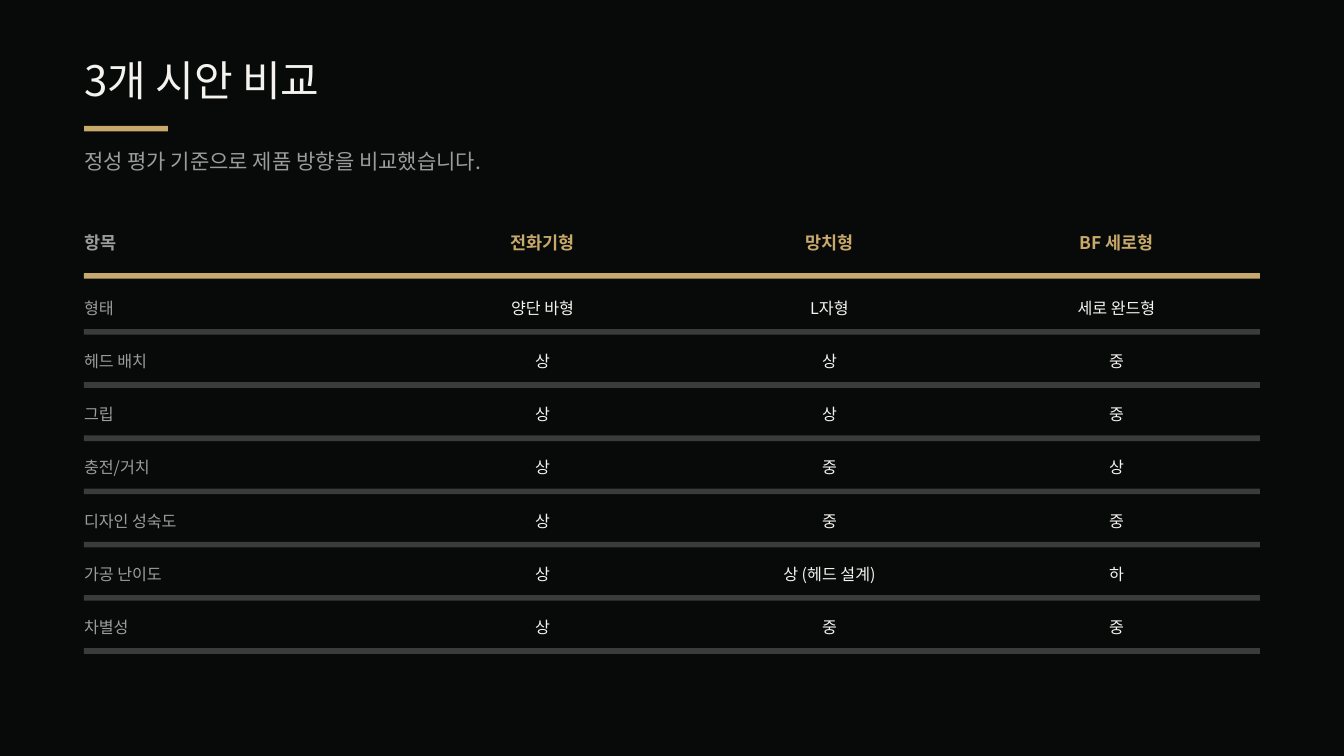
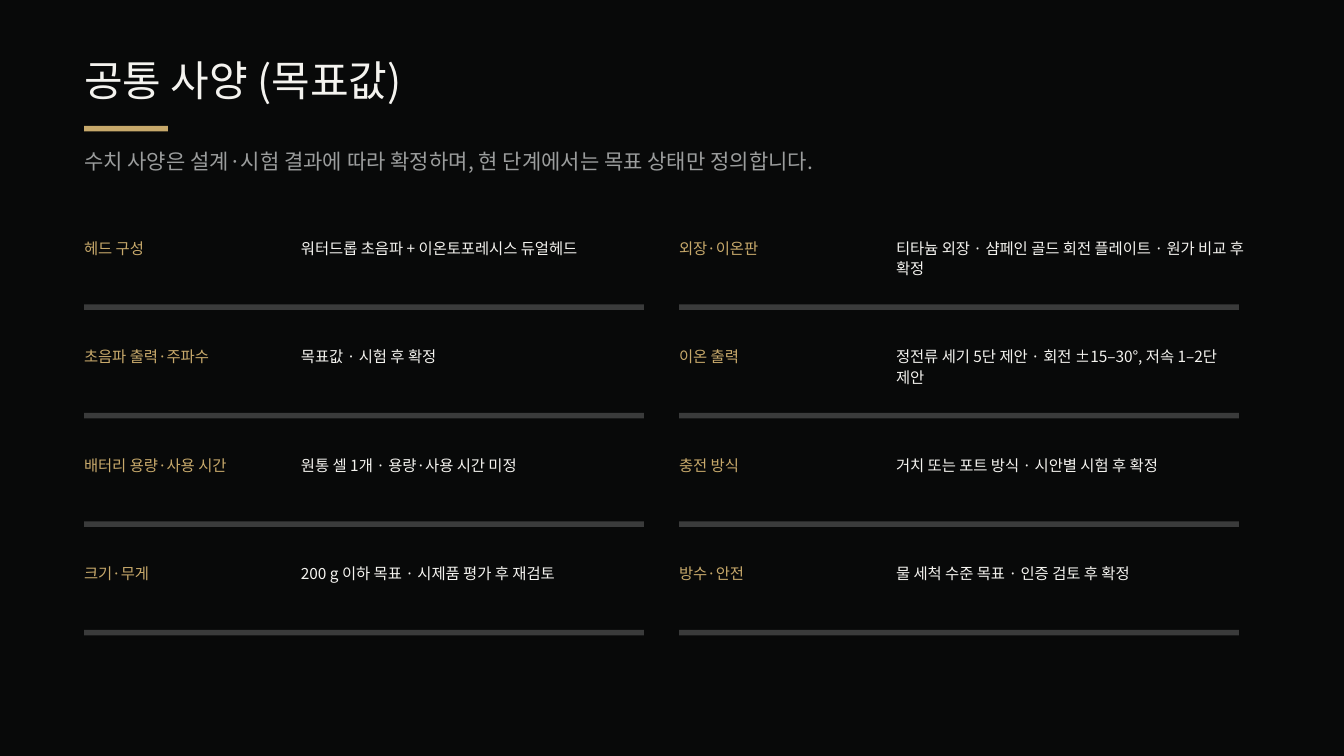
from dataclasses import dataclass

from lxml.etree import SubElement
from pptx import Presentation
from pptx.dml.color import RGBColor
from pptx.enum.shapes import MSO_SHAPE as Preset
from pptx.enum.text import MSO_ANCHOR as Anchor, MSO_AUTO_SIZE as AutoSize, PP_ALIGN as Align
from pptx.oxml.ns import qn
from pptx.util import Pt


@dataclass(frozen=True)
class TextStyle:
    """Size, exact line height, colour and weight of one kind of text."""
    size: float
    line: float
    color: str
    bold: bool = False


class Theme:
    """Colours, type and measures shared by the slides."""
    font = "Noto Sans CJK KR"
    night, ivory, gray, gold, line = "080909", "F4F3EF", "9B9D9D", "C7A96B", "3A3B3B"
    title = TextStyle(45, 50.4, ivory)
    subtitle = TextStyle(22.5, 32.63, gray)
    head_item = TextStyle(18.75, 26.25, gray, True)
    head_option = TextStyle(18.75, 26.25, gold, True)
    row_item = TextStyle(17.25, 24.15, gray)
    row_grade = TextStyle(17.25, 24.15, ivory)
    spec_label = TextStyle(16.5, 23.1, gold)
    spec_value = TextStyle(16.5, 22.28, ivory)
    left, width = 90, 1260
    rule = 6


NO_STYLE_NO_GRID = "{2D5ABB26-0587-4C30-8999-92F81FD0307C}"

COMPARISON = [
    ("항목", "전화기형", "망치형", "BF 세로형"),
    ("형태", "양단 바형", "L자형", "세로 완드형"),
    ("헤드 배치", "상", "상", "중"),
    ("그립", "상", "상", "중"),
    ("충전/거치", "상", "중", "상"),
    ("디자인 성숙도", "상", "중", "중"),
    ("가공 난이도", "상", "상 (헤드 설계)", "하"),
    ("차별성", "상", "중", "중"),
]

SPECS = [
    ("헤드 구성", "워터드롭 초음파 + 이온토포레시스 듀얼헤드"),
    ("외장·이온판", "티타늄 외장 · 샴페인 골드 회전 플레이트 · 원가 비교 후 확정"),
    ("초음파 출력·주파수", "목표값 · 시험 후 확정"),
    ("이온 출력", "정전류 세기 5단 제안 · 회전 ±15–30°, 저속 1–2단 제안"),
    ("배터리 용량·사용 시간", "원통 셀 1개 · 용량·사용 시간 미정"),
    ("충전 방식", "거치 또는 포트 방식 · 시안별 시험 후 확정"),
    ("크기·무게", "200 g 이하 목표 · 시제품 평가 후 재검토"),
    ("방수·안전", "물 세척 수준 목표 · 인증 검토 후 확정"),
]


def write(frame, text, style, align=Align.LEFT):
    """Fill a text frame with one styled paragraph."""
    frame.text = text
    paragraph = frame.paragraphs[0]
    paragraph.alignment = align
    paragraph.line_spacing = Pt(style.line)
    paragraph.space_before = Pt(0)
    for run in paragraph.runs:
        run.font.size = Pt(style.size)
        run.font.bold = style.bold
        run.font.name = Theme.font
        run.font.color.rgb = RGBColor.from_string(style.color)
        SubElement(run.font._element, qn("a:ea"), typeface=Theme.font)


def trim(frame, auto_size):
    """Wrap a text frame from its top edge without insets."""
    frame.word_wrap = True
    frame.auto_size = auto_size
    frame.vertical_anchor = Anchor.TOP
    frame.margin_left = frame.margin_top = frame.margin_right = frame.margin_bottom = 0


def add_text(shapes, left, top, width, text, style):
    """Add a text box that grows with its text."""
    box = shapes.add_textbox(Pt(left), Pt(top), Pt(width), Pt(style.line))
    trim(box.text_frame, AutoSize.SHAPE_TO_FIT_TEXT)
    write(box.text_frame, text, style)


def add_rule(shapes, left, top, width, color):
    """Add a thick horizontal rule."""
    rule = shapes.add_shape(Preset.RECTANGLE, Pt(left), Pt(top), Pt(width), Pt(Theme.rule))
    rule.shadow.inherit = False
    rule.fill.solid()
    rule.fill.fore_color.rgb = RGBColor.from_string(color)
    rule.line.fill.background()


def fill_placeholder(holder, top, width, height, text, style):
    """Move a placeholder to the left margin and write plain text in it."""
    holder.left, holder.top, holder.width, holder.height = Pt(Theme.left), Pt(top), Pt(width), Pt(height)
    trim(holder.text_frame, AutoSize.NONE)
    write(holder.text_frame, text, style)
    properties = holder.text_frame.paragraphs[0]._p.get_or_add_pPr()
    properties.set("marL", "0")
    properties.set("indent", "0")
    SubElement(properties, qn("a:buNone"))


def add_headed_slide(prs, title, subtitle):
    """Add a slide with title, gold accent and subtitle."""
    slide = prs.slides.add_slide(prs.slide_layouts[1])
    fill_placeholder(slide.shapes.title, 62, Theme.width, 52, title, Theme.title)
    add_rule(slide.shapes, Theme.left, 134.8, 90, Theme.gold)
    fill_placeholder(slide.placeholders[1], 153, 1050, 30, subtitle, Theme.subtitle)
    return slide


def add_comparison(slide, rows):
    """Add the table that grades each option by item, with a rule under each row."""
    top = 244.8
    heights = [50.75, 60] + [57] * (len(rows) - 2)
    widths = [337.5] + [307.5] * (len(rows[0]) - 1)
    table = slide.shapes.add_table(len(rows), len(widths), Pt(Theme.left), Pt(top),
                                   Pt(sum(widths)), Pt(sum(heights))).table
    table._tbl.tblPr.find(qn("a:tableStyleId")).text = NO_STYLE_NO_GRID
    table.horz_banding = False
    for column, width in zip(table.columns, widths):
        column.width = Pt(width)
    for r, (texts, height) in enumerate(zip(rows, heights)):
        table.rows[r].height = Pt(height)
        item, option = (Theme.row_item, Theme.row_grade) if r else (Theme.head_item, Theme.head_option)
        for c, text in enumerate(texts):
            cell = table.cell(r, c)
            cell.margin_left = cell.margin_right = cell.margin_top = 0
            cell.margin_bottom = Pt(13.75 if r else 22.5)
            cell.vertical_anchor = Anchor.BOTTOM
            cell.fill.background()
            write(cell.text_frame, text, option if c else item, Align.CENTER if c else Align.LEFT)
        bottom = top + sum(heights[:r + 1])
        add_rule(slide.shapes, Theme.left, bottom - Theme.rule / 2, Theme.width,
                 Theme.line if r else Theme.gold)


def add_spec(slide, left, top, label, value):
    """Add one grouped specification: label, value and rule."""
    shapes = slide.shapes.add_group_shape().shapes
    add_text(shapes, left, top, 217.5, label, Theme.spec_label)
    add_text(shapes, left + 232.5, top + 0.75, 375, value, Theme.spec_value)
    add_rule(shapes, left, top + 73.5, 600, Theme.line)


def main():
    """Build the two slides and save them."""
    prs = Presentation()
    prs.slide_width, prs.slide_height = Pt(1440), Pt(810)
    backdrop = prs.slide_master.background.fill
    backdrop.solid()
    backdrop.fore_color.rgb = RGBColor.from_string(Theme.night)

    comparison = add_headed_slide(prs, "3개 시안 비교", "정성 평가 기준으로 제품 방향을 비교했습니다.")
    add_comparison(comparison, COMPARISON)

    specs = add_headed_slide(prs, "공통 사양 (목표값)",
                             "수치 사양은 설계·시험 결과에 따라 확정하며, 현 단계에서는 목표 상태만 정의합니다.")
    for i, (label, value) in enumerate(SPECS):
        row, column = divmod(i, 2)
        add_spec(specs, Theme.left + 637.5 * column, 252.6 + 116.25 * row, label, value)

    prs.save("out.pptx")


if __name__ == "__main__":
    main()
